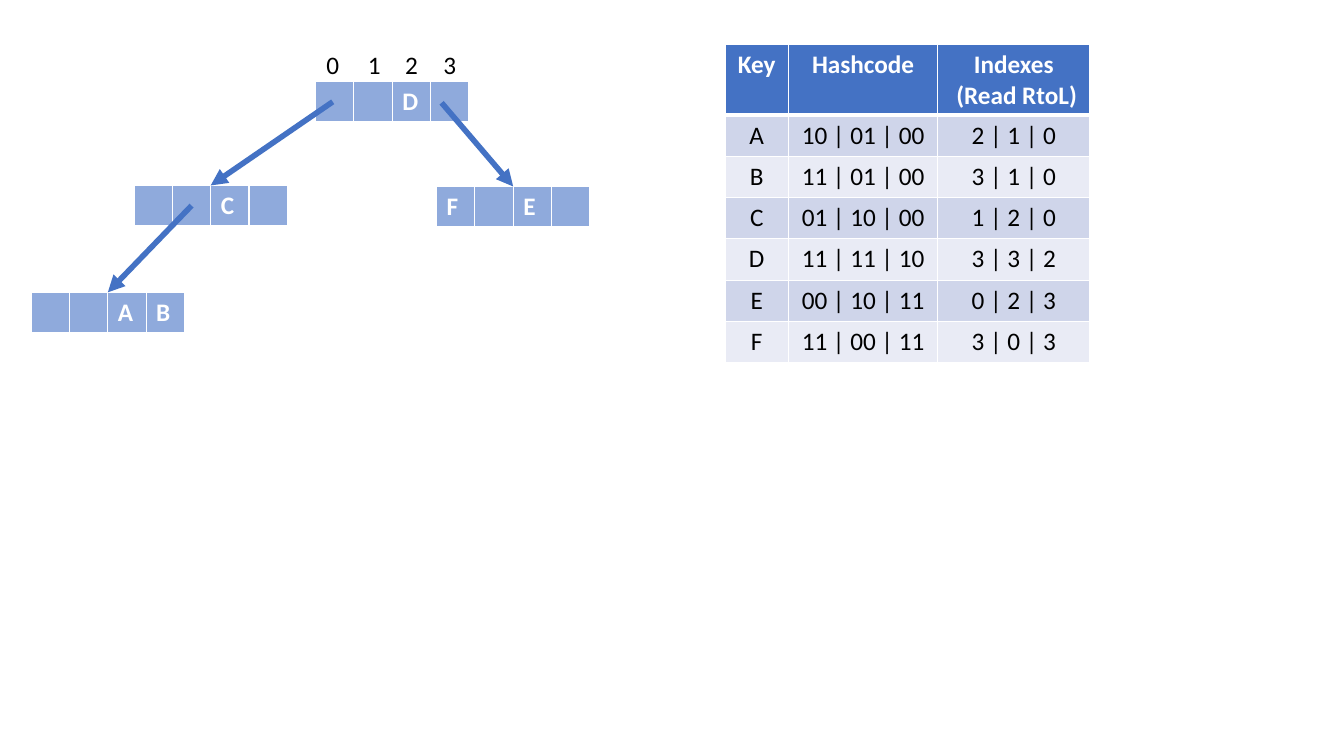
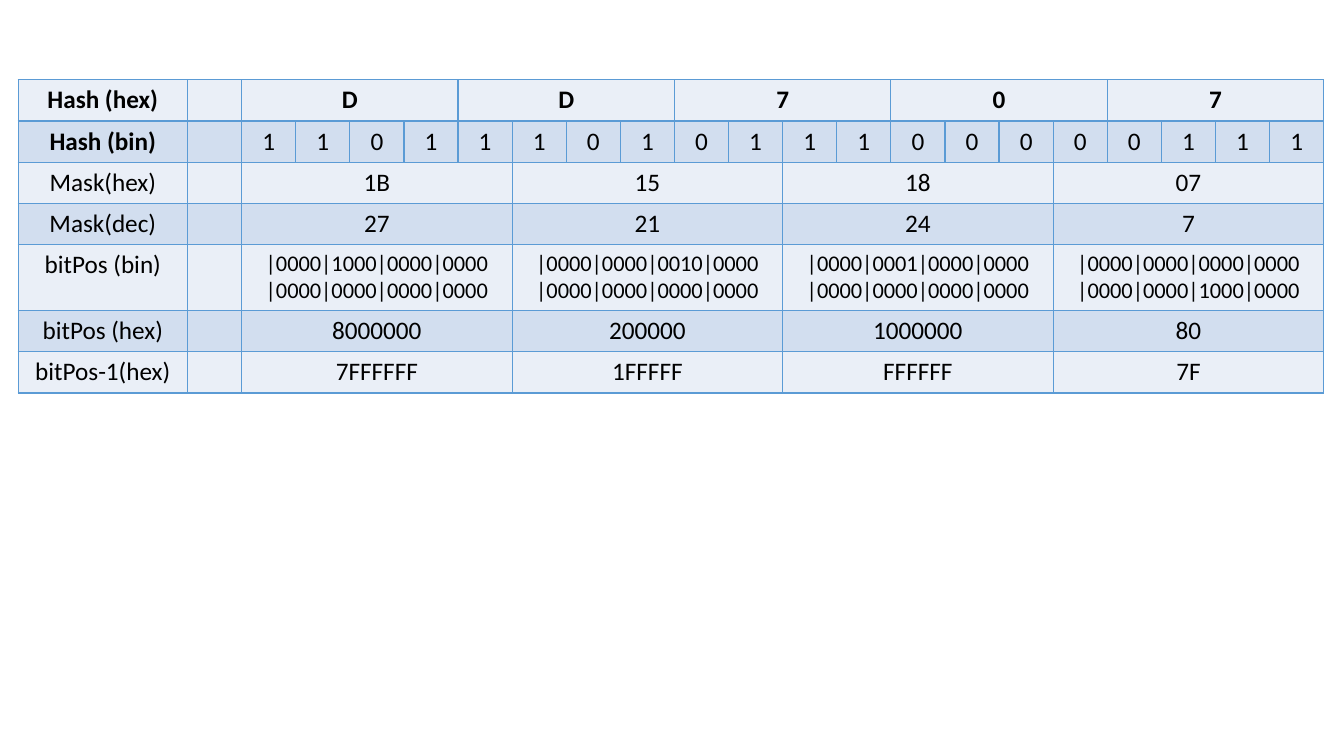
"""Builds two slides on a hash trie and its bit masks."""
from lxml import etree
from pptx import Presentation
from pptx.dml.color import RGBColor
from pptx.enum import shapes, text
from pptx.oxml import ns
from pptx.util import Inches, Pt

FONT = "Calibri"
BLACK = RGBColor(0x00, 0x00, 0x00)
WHITE = RGBColor(0xFF, 0xFF, 0xFF)
BLUE = RGBColor(0x44, 0x72, 0xC4)
NODE_BLUE = RGBColor(0x8F, 0xAA, 0xDC)
KEY_BANDS = (RGBColor(0xE9, 0xEB, 0xF5), RGBColor(0xCF, 0xD5, 0xEA))
BIT_BANDS = (RGBColor(0xEA, 0xEF, 0xF7), RGBColor(0xD2, 0xDE, 0xEF))
BIT_LINE = RGBColor(0x5B, 0x9B, 0xD5)

ROW = 0.41
SLOT = 0.38
BIT_COUNT = 20
BIT_WIDTH = (12.95 - 1.68) / (BIT_COUNT + 1)

NODES = [
    (3.13, 0.81, ["", "", "D", ""]),
    (1.33, 1.84, ["", "", "C", ""]),
    (0.31, 2.9, ["", "", "A", "B"]),
    (4.33, 1.85, ["F", "", "E", ""]),
]
ARROWS = [
    (3.3, 1.01, 2.09, 1.84),
    (1.9, 2.04, 1.07, 2.9),
    (4.38, 1.02, 5.09, 1.85),
]
SLOT_LABELS = [(3.14, "0"), (3.55, "1"), (3.92, "2"), (4.3, "3")]
KEY_ROWS = [
    ["Key", "Hashcode", "Indexes\n (Read RtoL)"],
    ["A", "10 | 01 | 00", "2 | 1 | 0"],
    ["B", "11 | 01 | 00", "3 | 1 | 0"],
    ["C", "01 | 10 | 00", "1 | 2 | 0"],
    ["D", "11 | 11 | 10", "3 | 3 | 2"],
    ["E", "00 | 10 | 11", "0 | 2 | 3"],
    ["F", "11 | 00 | 11", "3 | 0 | 3"],
]
ZEROS = "|0000|0000|0000|0000"
BIT_ROWS = [
    ("Hash (hex)", list("DD707")),
    ("Hash (bin)", list("11011101011100000111")),
    ("Mask(hex)", ["1B", "15", "18", "07"]),
    ("Mask(dec)", ["27", "21", "24", "7"]),
    ("bitPos (bin)", [
        "|0000|1000|0000|0000\n" + ZEROS,
        "|0000|0000|0010|0000\n" + ZEROS,
        "|0000|0001|0000|0000\n" + ZEROS,
        ZEROS + "\n|0000|0000|1000|0000",
    ]),
    ("bitPos (hex)", ["8000000", "200000", "1000000", "80"]),
    ("bitPos-1(hex)", ["7FFFFFF", "1FFFFF", "FFFFFF", "7F"]),
]


def write(frame, words, color=BLACK, size=18, bold=False, align=text.PP_ALIGN.CENTER):
    frame.text = words
    for para in frame.paragraphs:
        para.alignment = align
        para.font.size = Pt(size)
        for span in para.runs:
            span.font.name = FONT
            span.font.size = Pt(size)
            span.font.bold = bold
            span.font.color.rgb = color


def style_cell(cell, fill, line, top=1, bottom=1):
    properties = cell._tc.get_or_add_tcPr()
    for side, width in (("L", 1), ("R", 1), ("T", top), ("B", bottom)):
        edge = etree.SubElement(properties, ns.qn("a:ln" + side), w=str(Pt(width)))
        paint = etree.SubElement(edge, ns.qn("a:solidFill"))
        etree.SubElement(paint, ns.qn("a:srgbClr"), val=str(line))
    cell.fill.solid()
    cell.fill.fore_color.rgb = fill


def add_grid(page, left, top, widths, heights):
    frame = page.shapes.add_table(len(heights), len(widths), Inches(left), Inches(top),
                                  Inches(sum(widths)), Inches(sum(heights)))
    table = frame.table
    table.first_row = table.horz_banding = False
    for column, width in zip(table.columns, widths):
        column.width = Inches(width)
    for row, height in zip(table.rows, heights):
        row.height = Inches(height)
    return table


def add_node(page, left, top, keys):
    table = add_grid(page, left, top, [SLOT] * len(keys), [ROW])
    for index, key in enumerate(keys):
        cell = table.cell(0, index)
        style_cell(cell, NODE_BLUE, WHITE, bottom=3)
        write(cell.text_frame, key, WHITE, bold=True, align=text.PP_ALIGN.LEFT)


def add_arrow(page, *ends):
    arrow = page.shapes.add_connector(shapes.MSO_CONNECTOR.STRAIGHT,
                                      *[Inches(end) for end in ends])
    arrow.line.color.rgb = BLUE
    arrow.line.width = Pt(4)
    etree.SubElement(arrow.line._get_or_add_ln(), ns.qn("a:tailEnd"), type="triangle")
    etree.SubElement(arrow._element.spPr, ns.qn("a:effectLst"))


def add_label(page, left, words):
    box = page.shapes.add_textbox(Inches(left), Inches(0.44), Inches(0.33), Inches(0.4))
    frame = box.text_frame
    frame.word_wrap = False
    frame.auto_size = text.MSO_AUTO_SIZE.SHAPE_TO_FIT_TEXT
    write(frame, words, align=text.PP_ALIGN.LEFT)


def add_key_table(page):
    heights = [0.69] + [ROW] * (len(KEY_ROWS) - 1)
    table = add_grid(page, 7.19, 0.44, [0.63, 1.48, 1.51], heights)
    for row, values in enumerate(KEY_ROWS):
        header = row == 0
        for column, value in enumerate(values):
            cell = table.cell(row, column)
            style_cell(cell, BLUE if header else KEY_BANDS[row % 2], WHITE,
                       top=3 if row == 1 else 1, bottom=3 if header else 1)
            write(cell.text_frame, value, WHITE if header else BLACK, bold=header)


def add_bit_table(page):
    widths = [1.68] + [BIT_WIDTH] * (BIT_COUNT + 1)
    heights = [0.65 if "\n" in values[0] else ROW for _, values in BIT_ROWS]
    table = add_grid(page, 0.18, 0.79, widths, heights)
    for row, (label, values) in enumerate(BIT_ROWS):
        for column in range(len(widths)):
            style_cell(table.cell(row, column), BIT_BANDS[row % 2], BIT_LINE)
        write(table.cell(row, 0).text_frame, label, bold=row < 2)
        reach = BIT_COUNT // len(values)
        for index, value in enumerate(values):
            first = 2 + index * reach
            cell = table.cell(row, first)
            if reach > 1:
                cell.merge(table.cell(row, first + reach - 1))
            write(cell.text_frame, value, size=16 if "\n" in value else 18, bold=row == 0)


def main():
    deck = Presentation()
    deck.slide_width, deck.slide_height = Inches(13.33), Inches(7.5)
    blank = deck.slide_layouts[6]

    trie_page = deck.slides.add_slide(blank)
    for node in NODES:
        add_node(trie_page, *node)
    for arrow in ARROWS:
        add_arrow(trie_page, *arrow)
    for label in SLOT_LABELS:
        add_label(trie_page, *label)
    add_key_table(trie_page)

    add_bit_table(deck.slides.add_slide(blank))
    deck.save("out.pptx")


main()
